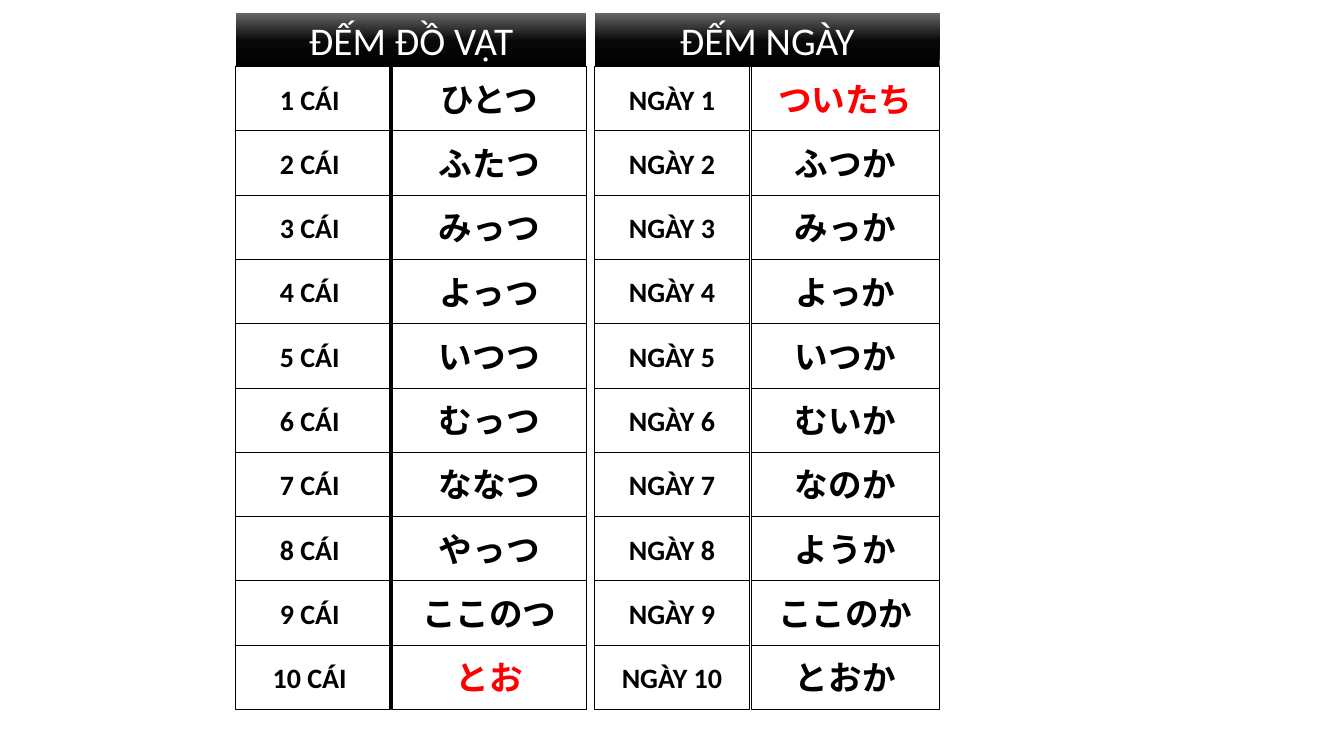
"""Build a slide that pairs Japanese counters for things with those for days."""
from copy import deepcopy

from pptx import Presentation
from pptx.dml.color import RGBColor
from pptx.enum.shapes import MSO_SHAPE as SHAPE
from pptx.enum.text import MSO_ANCHOR as ANCHOR, PP_ALIGN as ALIGN
from pptx.oxml.ns import qn
from pptx.util import Cm, Pt

PANELS = [
    {"title": "ĐẾM ĐỒ VẬT", "label": "{} CÁI ", "left": 5.94, "word_w": 4.9,
     "words": ["ひとつ", "ふたつ", "みっつ", "よっつ", "いつつ",
               "むっつ", "ななつ", "やっつ", "ここのつ", "とお"]},
    {"title": "ĐẾM NGÀY", "label": "NGÀY {}", "left": 14.99, "word_w": 4.75,
     "words": ["ついたち", "ふつか", "みっか", "よっか", "いつか",
               "むいか", "なのか", "ようか", "ここのか", "とおか"]},
]
IRREGULAR = {"とお", "ついたち"}
BLACK, WHITE, RED = "000000", "FFFFFF", "FF0000"
HEADER_STOPS = [(0, BLACK), (0.48, "080808"), (1, "666666")]
HEADER = {"size": Pt(28), "bold": False}
LABEL = {"size": Pt(20), "bold": True}
WORD = {"size": Pt(24), "bold": True}
HEADER_TOP, HEADER_H = 0.33, 1.35
ROW_TOP, ROW_H = 1.68, 1.62
LABEL_W, GAP = 3.89, 0.05


def rgb(color):
    """Turn a hex string into a colour."""
    return RGBColor.from_string(color)


def add_box(s, text, box, font, color):
    """Add a bare rectangle with centred text."""
    sp = s.shapes.add_shape(SHAPE.RECTANGLE, *map(Cm, box))
    sp.shadow.inherit = False
    sp.fill.background()
    sp.line.fill.background()
    tf = sp.text_frame
    tf.word_wrap = True
    tf.vertical_anchor = ANCHOR.MIDDLE
    p = tf.paragraphs[0]
    p.alignment = ALIGN.CENTER
    r = p.add_run()
    r.text = text
    for name, value in {"name": "Calibri", **font}.items():
        setattr(r.font, name, value)
    r.font.color.rgb = rgb(color)
    return sp


def add_header(s, text, box):
    """Add a header bar that fades from grey to black."""
    sp = add_box(s, text, box, HEADER, WHITE)
    sp.fill.gradient()
    sp.fill.gradient_angle = 90
    stops = sp._element.spPr.find(qn("a:gradFill")).find(qn("a:gsLst"))
    stops.append(deepcopy(stops[0]))
    for stop, (position, color) in zip(sp.fill.gradient_stops, HEADER_STOPS):
        stop.position = position
        stop.color.rgb = rgb(color)


def add_cell(s, text, box, font, color=BLACK):
    """Add an outlined cell."""
    sp = add_box(s, text, box, font, color)
    sp.line.color.rgb = rgb(BLACK)
    sp.line.width = Pt(0.75)


def add_panel(s, panel):
    """Add a header and its rows of label and word."""
    left, word_w = panel["left"], panel["word_w"]
    word_left = left + LABEL_W + GAP
    header_w = LABEL_W + GAP + word_w
    add_header(s, panel["title"], (left, HEADER_TOP, header_w, HEADER_H))
    for i, word in enumerate(panel["words"]):
        top = ROW_TOP + i * ROW_H
        color = RED if word in IRREGULAR else BLACK
        add_cell(s, panel["label"].format(i + 1), (left, top, LABEL_W, ROW_H), LABEL)
        add_cell(s, word, (word_left, top, word_w, ROW_H), WORD, color)


def main():
    """Make the deck and save it."""
    prs = Presentation()
    prs.slide_width, prs.slide_height = Cm(33.87), Cm(19.05)
    s = prs.slides.add_slide(prs.slide_layouts[6])
    for panel in PANELS:
        add_panel(s, panel)
    prs.save("out.pptx")


if __name__ == "__main__":
    main()
